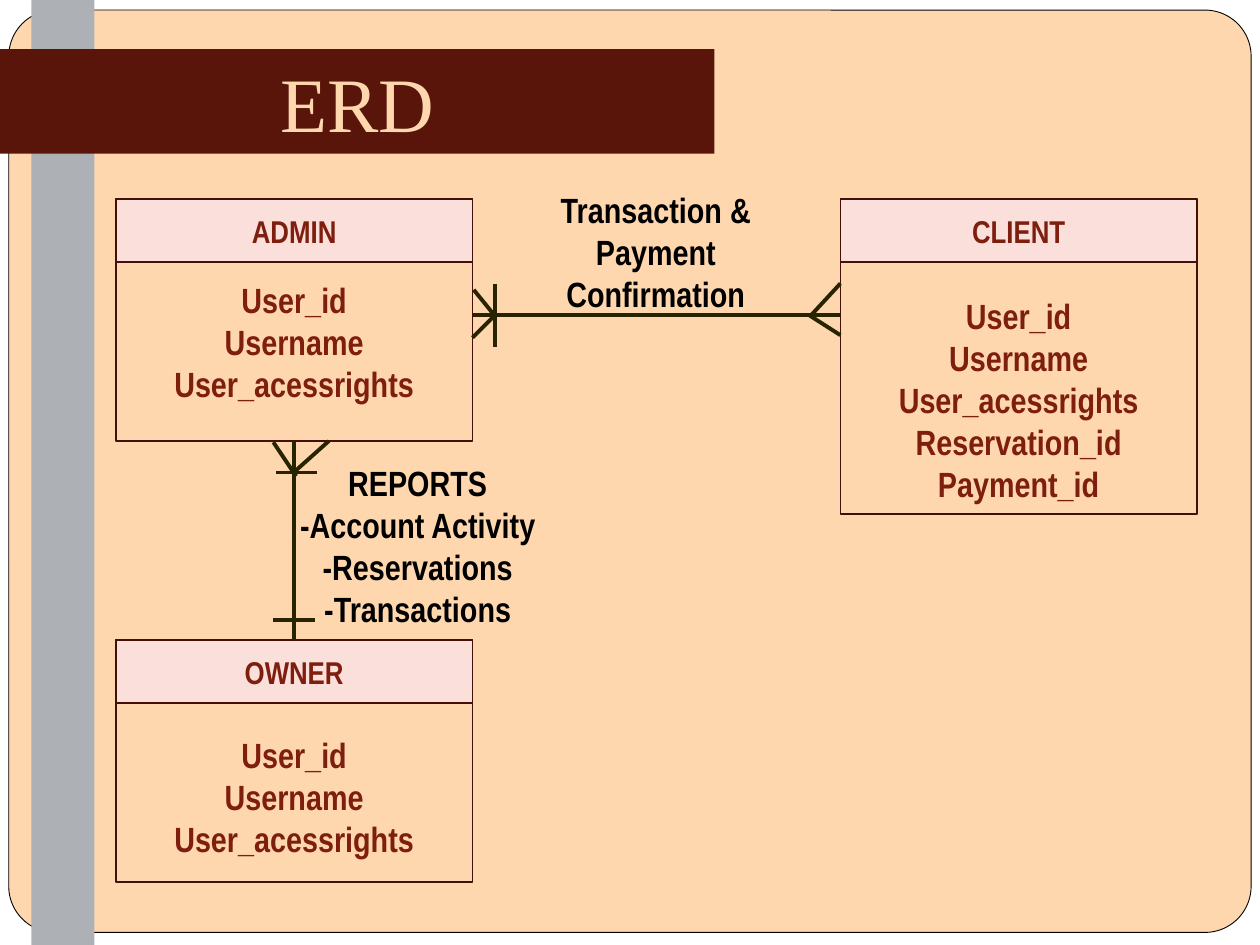
from dataclasses import dataclass

from lxml import etree
from pptx import Presentation
from pptx.dml.color import RGBColor
from pptx.enum.shapes import MSO_CONNECTOR, MSO_SHAPE
from pptx.enum.text import MSO_ANCHOR, PP_ALIGN
from pptx.oxml.ns import qn
from pptx.util import Pt

RECT = MSO_SHAPE.RECTANGLE
ROUNDED = MSO_SHAPE.ROUNDED_RECTANGLE
STRAIGHT = MSO_CONNECTOR.STRAIGHT
MIDDLE = MSO_ANCHOR.MIDDLE
CENTER = PP_ALIGN.CENTER
EMU_PER_PX = 9144
TITLE_ONLY = 5


@dataclass(frozen=True)
class Theme:
    paper: str = "FFFFFF"
    peach: str = "FFD7AF"
    stripe: str = "ADB0B5"
    band: str = "59150A"
    header: str = "FBDFDA"
    border: str = "421007"
    entity_text: str = "7E1E0E"
    relation: str = "292400"
    ink: str = "000000"
    title_font: str = "Times New Roman"
    body_font: str = "Arial Narrow"
    title_size: int = 44
    header_size: int = 18
    body_size: int = 20
    frame_width: float = 0.5
    border_width: float = 1
    relation_width: float = 2.25


def px(length):
    return round(length * EMU_PER_PX)


def color(value):
    return RGBColor.from_string(value)


def write(frame, text, *, font, size, ink, bold=False, top_gap=0):
    frame.word_wrap = True
    frame.vertical_anchor = MIDDLE
    frame.margin_left = frame.margin_right = px(10)
    frame.margin_top, frame.margin_bottom = px(5 + top_gap), px(5)
    frame.text = text
    for paragraph in frame.paragraphs:
        paragraph.alignment = CENTER
        style = paragraph.font
        style.name, style.size, style.bold = font, Pt(size), bold
        style.color.rgb = color(ink)


class Diagram:
    """Draws entity-relationship elements on one slide in one theme."""

    def __init__(self, slide, theme):
        self.slide = slide
        self.theme = theme

    def background(self, fill):
        self.slide.background.fill.solid()
        self.slide.background.fill.fore_color.rgb = color(fill)

    def box(self, area, fill=None, border=None, width=1, kind=RECT, parent=None):
        shapes = (parent or self.slide).shapes
        shape = shapes.add_shape(kind, *map(px, area))
        shape.shadow.inherit = False
        if fill:
            shape.fill.solid()
            shape.fill.fore_color.rgb = color(fill)
        else:
            shape.fill.background()
        if border:
            shape.line.color.rgb = color(border)
            shape.line.width = Pt(width)
        else:
            shape.line.fill.background()
        return shape

    def title(self, text, area):
        theme = self.theme
        band = self.slide.shapes.title
        band.left, band.top, band.width, band.height = map(px, area)
        band.fill.solid()
        band.fill.fore_color.rgb = color(theme.band)
        write(band.text_frame, text, font=theme.title_font,
              size=theme.title_size, ink=theme.peach)
        band.element.getparent().append(band.element)

    def entity(self, name, fields, left, top, height, top_gap):
        theme = self.theme
        group = self.slide.shapes.add_group_shape()
        outline = {"border": theme.border, "width": theme.border_width, "parent": group}
        lettering = {"font": theme.body_font, "ink": theme.entity_text, "bold": True}
        body = self.box((left, top, 283, height), **outline)
        write(body.text_frame, "\n".join(fields), size=theme.body_size,
              top_gap=top_gap, **lettering)
        header = self.box((left, top, 283, 50), theme.header, **outline)
        write(header.text_frame, name, size=theme.header_size, **lettering)

    def line(self, *ends):
        connector = self.slide.shapes.add_connector(STRAIGHT, *map(px, ends))
        connector.line.color.rgb = color(self.theme.relation)
        connector.line.width = Pt(self.theme.relation_width)
        properties = connector.element.find(qn("p:spPr"))
        etree.SubElement(properties, qn("a:effectLst"))

    def label(self, text, area):
        theme = self.theme
        caption = self.slide.shapes.add_textbox(*map(px, area))
        write(caption.text_frame, text, font=theme.body_font,
              size=theme.body_size, ink=theme.ink, bold=True)


def main():
    presentation = Presentation()
    presentation.slide_width, presentation.slide_height = px(1000), px(750)
    slide = presentation.slides.add_slide(presentation.slide_layouts[TITLE_ONLY])
    theme = Theme()
    diagram = Diagram(slide, theme)

    diagram.background(theme.paper)
    panel = diagram.box((7, 8, 986, 732), theme.peach, theme.ink,
                        theme.frame_width, ROUNDED)
    panel.adjustments[0] = 0.05
    diagram.box((25, 0, 50, 750), theme.stripe)
    diagram.title("ERD", (0, 39, 567, 83))

    user_fields = ["User_id", "Username", "User_acessrights"]
    client_fields = user_fields + ["Reservation_id", "Payment_id"]
    diagram.entity("ADMIN", user_fields, 92, 158, 192, top_gap=34)
    diagram.entity("OWNER", user_fields, 92, 508, 192, top_gap=56)
    diagram.entity("CLIENT", client_fields, 667, 158, 250, top_gap=68)

    admin_owner = [
        (233, 350, 233, 508),
        (217, 351, 235, 378),
        (219, 375, 252, 375),
        (233, 375, 261, 350),
        (217, 492, 250, 492),
    ]
    admin_client = [
        (375, 250, 667, 250),
        (376, 230, 393, 251),
        (392, 251, 375, 268),
        (393, 225, 393, 275),
        (667, 225, 643, 251),
        (642, 250, 667, 266),
    ]
    for ends in admin_owner + admin_client:
        diagram.line(*ends)

    diagram.label("REPORTS\n-Account Activity\n-Reservations\n-Transactions",
                  (219, 358, 225, 150))
    diagram.label("Transaction & Payment Confirmation", (408, 133, 225, 133))
    presentation.save("out.pptx")


if __name__ == "__main__":
    main()
